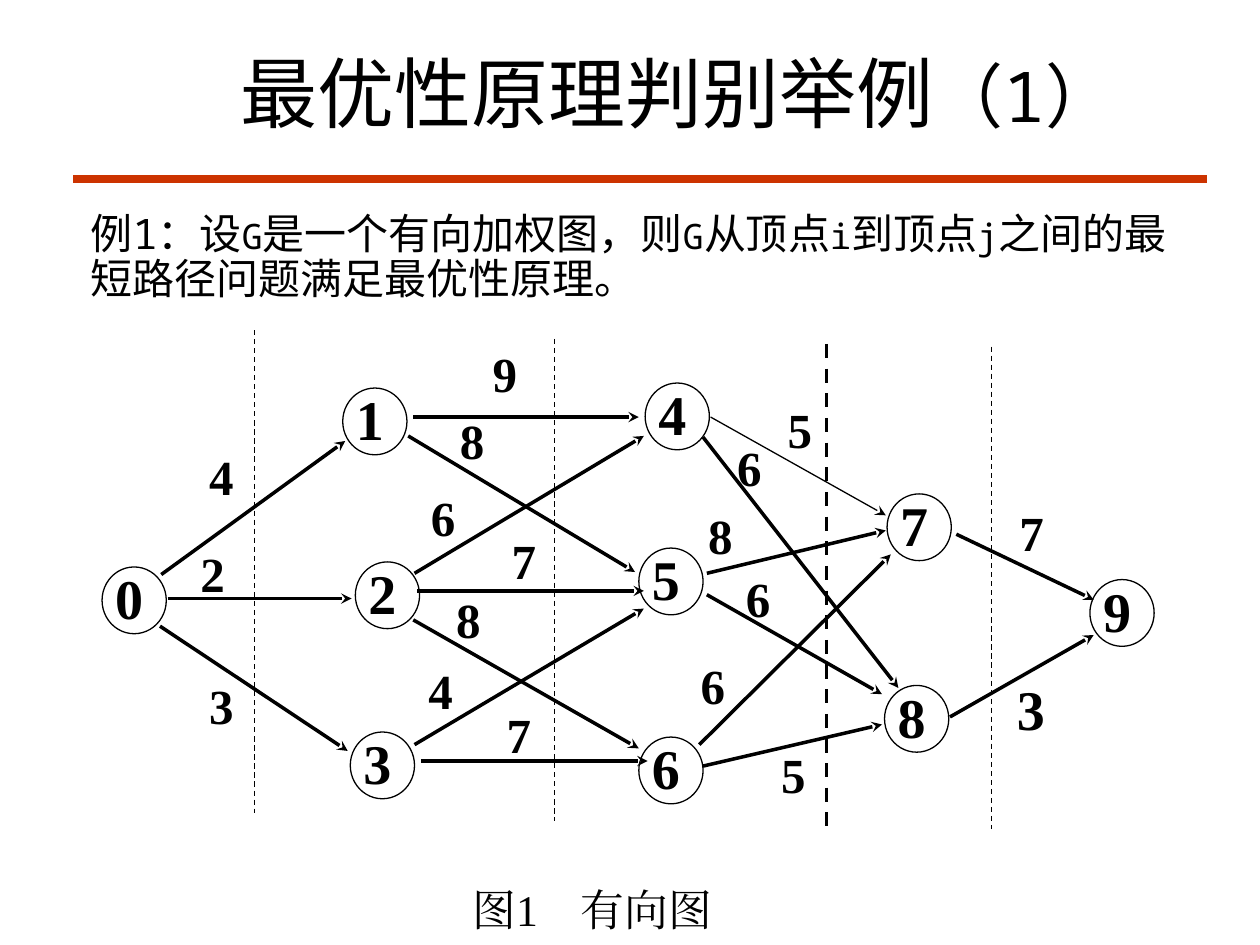
from lxml import etree
from pptx import Presentation
from pptx import util as u
from pptx.dml.color import RGBColor
from pptx.enum import dml, shapes, text
from pptx.oxml import ns

THEME = {
    "ink": RGBColor(0x00, 0x00, 0x00),
    "accent": RGBColor(0xCC, 0x33, 0x00),
    "sans": "Noto Sans Mono",
    "serif": "Times New Roman",
    "title": 44, "title_number": 40,
    "body": 24, "body_symbol": 20,
    "node": 32, "weight": 28, "caption": 25,
    "thin": 0.75, "thick": 2, "rule": 4.5,
}

TITLE = [("最优性原理判别举例", "title"), ("（1）", "title_number")]
BODY = [
    ("例1：设", "body"), ("G", "body_symbol"),
    ("是一个有向加权图，则", "body"), ("G", "body_symbol"),
    ("从顶点", "body"), ("i", "body_symbol"),
    ("到顶点", "body"), ("j", "body_symbol"),
    ("之间的最短路径问题满足最优性原理。", "body"),
]
CAPTION = [("图1\t有向图", "caption")]

NODE_SIZE = (0.51, 0.53)
NODES = [
    (0.81, 4.5), (2.72, 3.08), (2.82, 4.46), (2.78, 5.81), (5.12, 3.04),
    (5.07, 4.35), (5.07, 5.85), (7.04, 3.92), (7.02, 5.44), (8.65, 4.6),
]

LABEL_SIZE = (0.28, 0.35)
# EDGES
EDGES = [
    ((1.28, 4.56), (2.74, 3.5), "4", (1.66, 3.63)),
    ((1.33, 4.75), (2.79, 4.75), "2", (1.59, 4.4)),
    ((1.27, 4.97), (2.76, 5.96), "3", (1.66, 5.45)),
    ((3.28, 3.31), (5.07, 3.31), "9", (3.91, 2.82)),
    ((3.24, 3.46), (5.04, 4.54), "8", (3.65, 3.35)),
    ((3.29, 4.55), (5.11, 3.46), "6", (3.42, 3.96)),
    ((3.31, 4.69), (5.11, 4.69), "7", (4.06, 4.3)),
    ((3.28, 4.92), (5.07, 5.94), "8", (3.62, 4.77)),
    ((3.29, 5.91), (5.11, 4.83), "4", (3.4, 5.33)),
    ((3.34, 6.04), (5.14, 6.04), "7", (4.02, 5.68)),
    ((5.64, 3.31), (7.03, 4.09), "5", (6.25, 3.26)),
    ((5.58, 3.47), (7.13, 5.46), "6", (5.85, 3.56)),
    ((5.61, 4.55), (7.03, 4.21), "8", (5.62, 4.1)),
    ((5.61, 4.72), (7, 5.51), "6", (5.92, 4.6)),
    ((5.55, 5.91), (7.07, 4.4), "6", (5.56, 5.29)),
    ((5.58, 6.08), (7, 5.75), "5", (6.2, 6)),
    ((7.59, 4.24), (8.68, 4.76), "7", (8.09, 4.08)),
    ((7.54, 5.69), (8.68, 5.04), "3", (8.07, 5.46)),
]
THIN_EDGE_START = (5.64, 3.31)
LARGE_LABEL_AT = (8.07, 5.46)

STAGE_HEIGHT = 3.83
STAGES = [(2.02, 2.62, "thin"), (4.4, 2.69, "thin"),
          (6.56, 2.73, "thick"), (7.87, 2.75, "thin")]


def inches(*lengths):
    return [u.Inches(length) for length in lengths]


def write(para, runs, face, bold=False):
    for words, role in runs:
        span = para.add_run()
        span.text = words
        span.font.size = u.Pt(THEME[role])
        span.font.bold = bold
        span.font.name = THEME[face]
        span.font.color.rgb = THEME["ink"]
        east = etree.SubElement(span.font._element, ns.qn("a:ea"))
        east.set("typeface", THEME[face])


def space(para, line, role):
    para.line_spacing = line
    para.space_before = u.Pt(round(THEME[role] * 0.2))


def write_graph_text(box, runs, inset=0, bold=True):
    frame = box.text_frame
    frame.word_wrap = True
    frame.vertical_anchor = text.MSO_ANCHOR.TOP
    frame.margin_left = u.Inches(inset)
    frame.margin_top = frame.margin_right = frame.margin_bottom = 0
    para = frame.paragraphs[0]
    para.alignment = text.PP_ALIGN.JUSTIFY
    space(para, 0.8, runs[0][1])
    write(para, runs, "serif", bold)
    return para


def add_line(page, start, end, weight, color="ink", dashed=False, arrow=False):
    line = page.shapes.add_connector(
        shapes.MSO_CONNECTOR.STRAIGHT, *inches(*start, *end))
    line.line.width = u.Pt(THEME[weight])
    line.line.color.rgb = THEME[color]
    if dashed:
        line.line.dash_style = dml.MSO_LINE.DASH
    properties = line._element.spPr
    if arrow:
        tail = etree.SubElement(properties.find(ns.qn("a:ln")), ns.qn("a:tailEnd"))
        tail.set("type", "stealth")
    etree.SubElement(properties, ns.qn("a:effectLst"))


def add_node(page, name, corner):
    node = page.shapes.add_shape(
        shapes.MSO_SHAPE.OVAL, *inches(*corner, *NODE_SIZE))
    node.shadow.inherit = False
    node.fill.background()
    node.line.color.rgb = THEME["ink"]
    node.line.width = u.Pt(THEME["thin"])
    write_graph_text(node, [(name, "node")], inset=0.03)


def fill_placeholder(box, place, runs, anchor):
    box.left, box.top, box.width, box.height = inches(*place)
    frame = box.text_frame
    frame.word_wrap = True
    frame.auto_size = text.MSO_AUTO_SIZE.NONE
    frame.vertical_anchor = anchor
    para = frame.paragraphs[0]
    write(para, runs, "sans")
    return para


def add_caption(page):
    box = page.shapes.add_textbox(*inches(3.75, 7.09, 3.23, 0.41))
    para = write_graph_text(box, CAPTION, bold=False)
    stops = etree.SubElement(para._p.get_or_add_pPr(), ns.qn("a:tabLst"))
    stop = etree.SubElement(stops, ns.qn("a:tab"))
    stop.set("pos", str(u.Inches(0.86)))
    stop.set("algn", "l")


def main():
    deck = Presentation()
    deck.slide_width, deck.slide_height = inches(10, 7.5)
    page = deck.slides.add_slide(deck.slide_layouts[1])

    heading = fill_placeholder(page.shapes.title, (1.09, 0.31, 8.58, 0.83),
                               TITLE, text.MSO_ANCHOR.MIDDLE)
    heading.alignment = text.PP_ALIGN.CENTER
    add_line(page, (0.58, 1.42), (9.58, 1.42), "rule", "accent")

    example = fill_placeholder(page.placeholders[1], (0.62, 1.64, 8.98, 0.83),
                               BODY, text.MSO_ANCHOR.TOP)
    space(example, 0.9, "body")
    layout = example._p.get_or_add_pPr()
    layout.set("marL", "0")
    layout.set("indent", "0")
    etree.SubElement(layout, ns.qn("a:buNone"))

    for number, corner in enumerate(NODES):
        add_node(page, str(number), corner)
    for start, end, weight, corner in EDGES:
        width = "thin" if start == THIN_EDGE_START else "thick"
        add_line(page, start, end, width, arrow=True)
        label = page.shapes.add_textbox(*inches(*corner, *LABEL_SIZE))
        role = "node" if corner == LARGE_LABEL_AT else "weight"
        write_graph_text(label, [(weight, role)])
    for x, top, width in STAGES:
        add_line(page, (x, top), (x, top + STAGE_HEIGHT), width, dashed=True)
    add_caption(page)
    deck.save("out.pptx")


if __name__ == "__main__":
    main()
